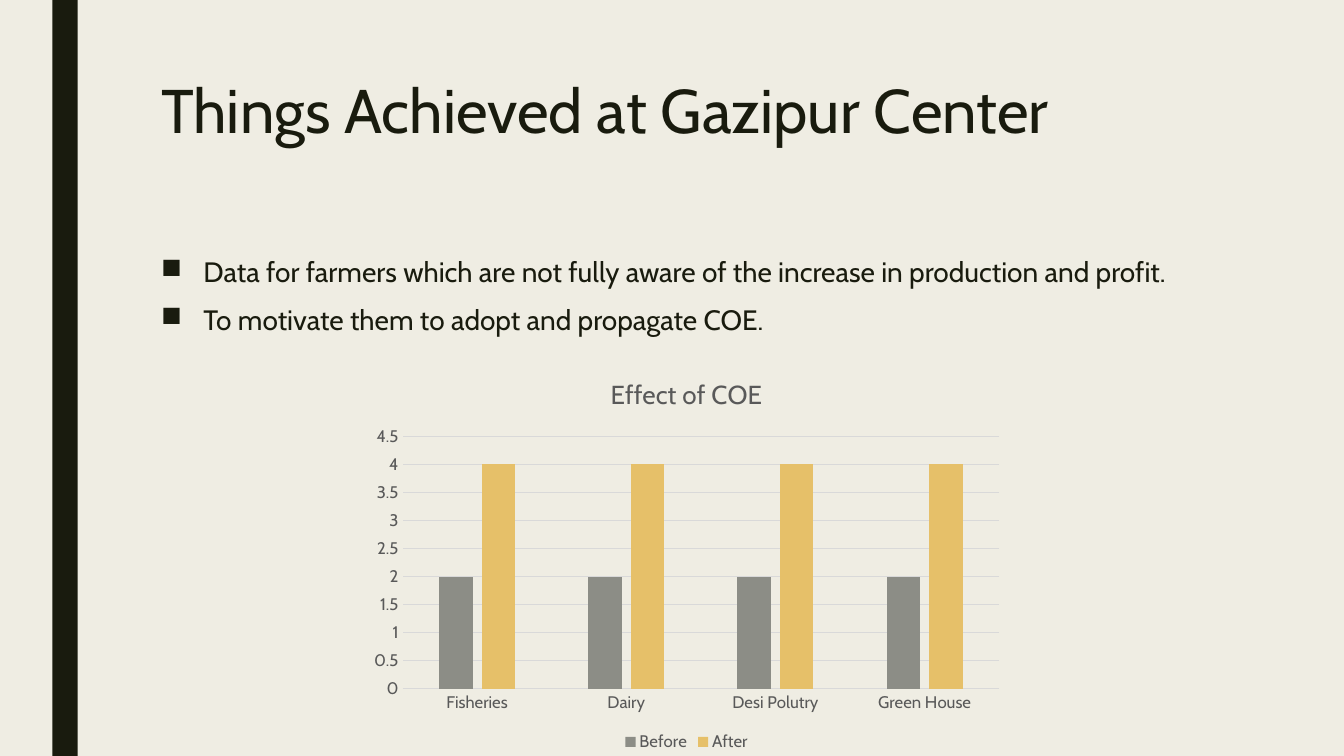
from lxml import etree
from pptx import Presentation
from pptx.chart.data import CategoryChartData
from pptx.dml.color import RGBColor
from pptx.enum import chart as ch, shapes
from pptx.oxml import ns
from pptx.util import Inches, Pt

FONT = "Cabin"
CREAM = RGBColor(0xEF, 0xED, 0xE3)
DARK = RGBColor(0x19, 0x1B, 0x0E)
GREY = RGBColor(0x59, 0x59, 0x59)
GRID = RGBColor(0xD9, 0xD9, 0xD9)
BEFORE = RGBColor(0x8C, 0x8D, 0x86)
AFTER = RGBColor(0xE6, 0xC0, 0x69)


def set_font(font, size, color):
    font.name = FONT
    font.size = Pt(size)
    font.bold = False
    font.color.rgb = color


def add_text(lines, top, height, size, spacing, before=0, after=0, bullet=None):
    sp = s.shapes.add_textbox(Inches(1.5), Inches(top), Inches(10.5), Inches(height))
    tf = sp.text_frame
    tf.word_wrap = True
    for i, line in enumerate(lines):
        p = tf.paragraphs[0] if i == 0 else tf.add_paragraph()
        p.line_spacing = spacing
        p.space_before = Pt(before)
        p.space_after = Pt(after)
        r = p.add_run()
        r.text = line
        set_font(r.font, size, DARK)
        if bullet:
            pPr = p._p.get_or_add_pPr()
            pPr.set("marL", str(Inches(0.42)))
            pPr.set("indent", str(-Inches(0.42)))
            etree.SubElement(pPr, ns.qn("a:buChar")).set("char", bullet)
    return sp


prs = Presentation()
prs.slide_width = Inches(13.33)
prs.slide_height = Inches(7.5)
s = prs.slides.add_slide(prs.slide_layouts[6])
s.background.fill.solid()
s.background.fill.fore_color.rgb = CREAM

bar = s.shapes.add_shape(shapes.MSO_SHAPE.RECTANGLE, Inches(0.52), 0, Inches(0.25), Inches(7.5))
bar.shadow.inherit = False
bar.fill.solid()
bar.fill.fore_color.rgb = DARK
bar.line.fill.background()

add_text(["Things Achieved at Gazipur Center"], 0.75, 1.62, 44, 0.89)
add_text(
    ["Data for farmers which are not fully aware of the increase in production and profit.",
     "To motivate them to adopt and propagate COE."],
    2.5, 0.93, 20, 0.94, before=10, after=2, bullet="■")

data = CategoryChartData()
data.categories = ["Fisheries", "Dairy", "Desi Polutry", "Green House"]
data.add_series("Before", [2] * 4)
data.add_series("After", [4] * 4)
chart = s.shapes.add_chart(
    ch.XL_CHART_TYPE.COLUMN_CLUSTERED,
    Inches(3.58), Inches(3.55), Inches(6.46), Inches(3.95), data).chart
set_font(chart.font, 12, GREY)

chart.has_title = True
tf = chart.chart_title.text_frame
tf.text = "Effect of COE"
set_font(tf.paragraphs[0].runs[0].font, 18.6, GREY)
chart.chart_title.include_in_layout = False

chart.has_legend = True
chart.legend.position = ch.XL_LEGEND_POSITION.BOTTOM
chart.legend.include_in_layout = False
set_font(chart.legend.font, 12, GREY)

for axis in (chart.category_axis, chart.value_axis):
    axis.major_tick_mark = axis.minor_tick_mark = ch.XL_TICK_MARK.NONE
    set_font(axis.tick_labels.font, 12, GREY)
chart.value_axis.minimum_scale = 0
chart.value_axis.maximum_scale = 4.5
chart.value_axis.major_unit = 0.5
chart.value_axis.format.line.fill.background()
for line in (chart.category_axis.format.line, chart.value_axis.major_gridlines.format.line):
    line.color.rgb = GRID
    line.width = Pt(0.75)

plot = chart.plots[0]
plot.vary_by_categories = False
plot.gap_width = 219
plot.overlap = -27
for series, color in zip(plot.series, (BEFORE, AFTER)):
    series.format.fill.solid()
    series.format.fill.fore_color.rgb = color

prs.save("out.pptx")
